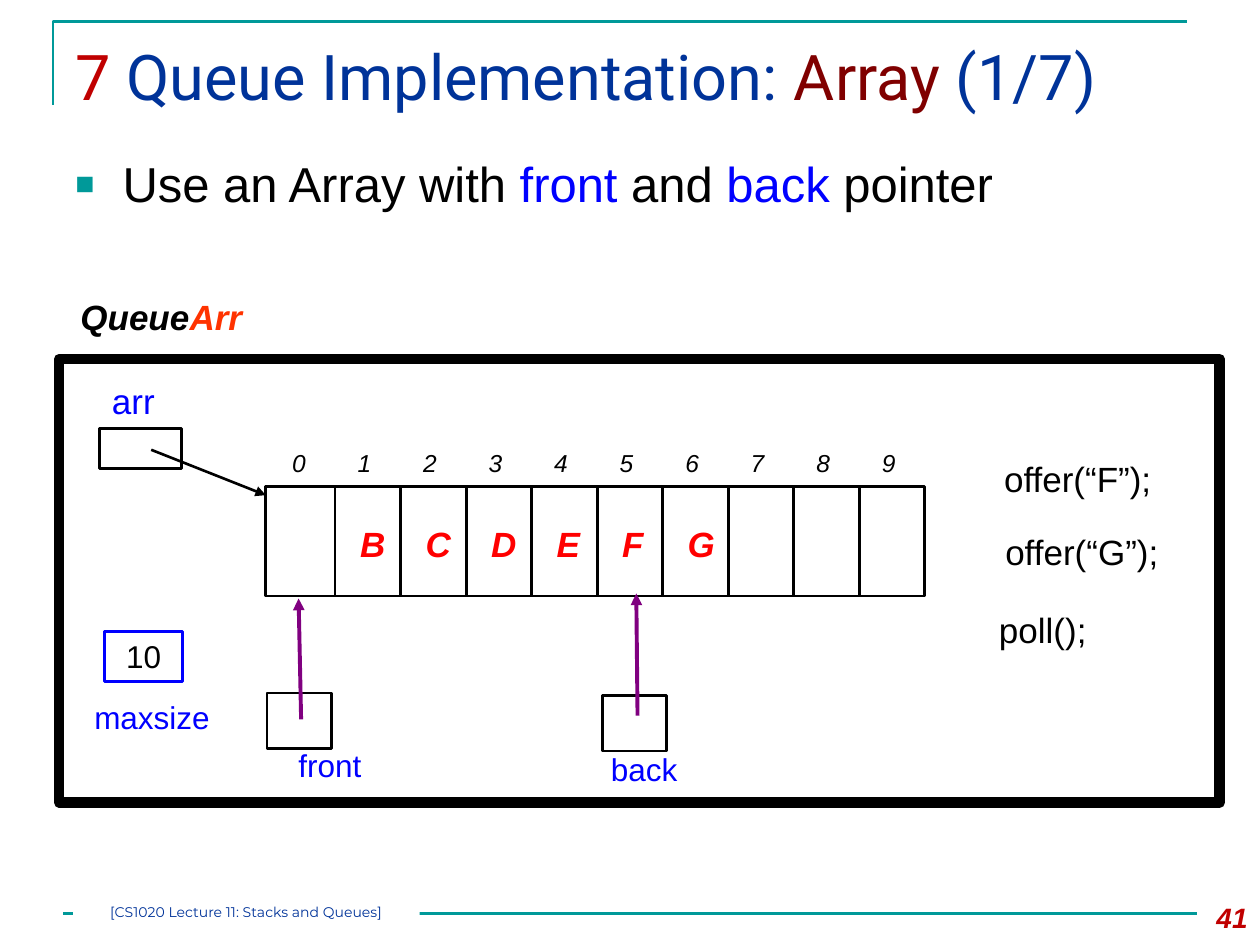
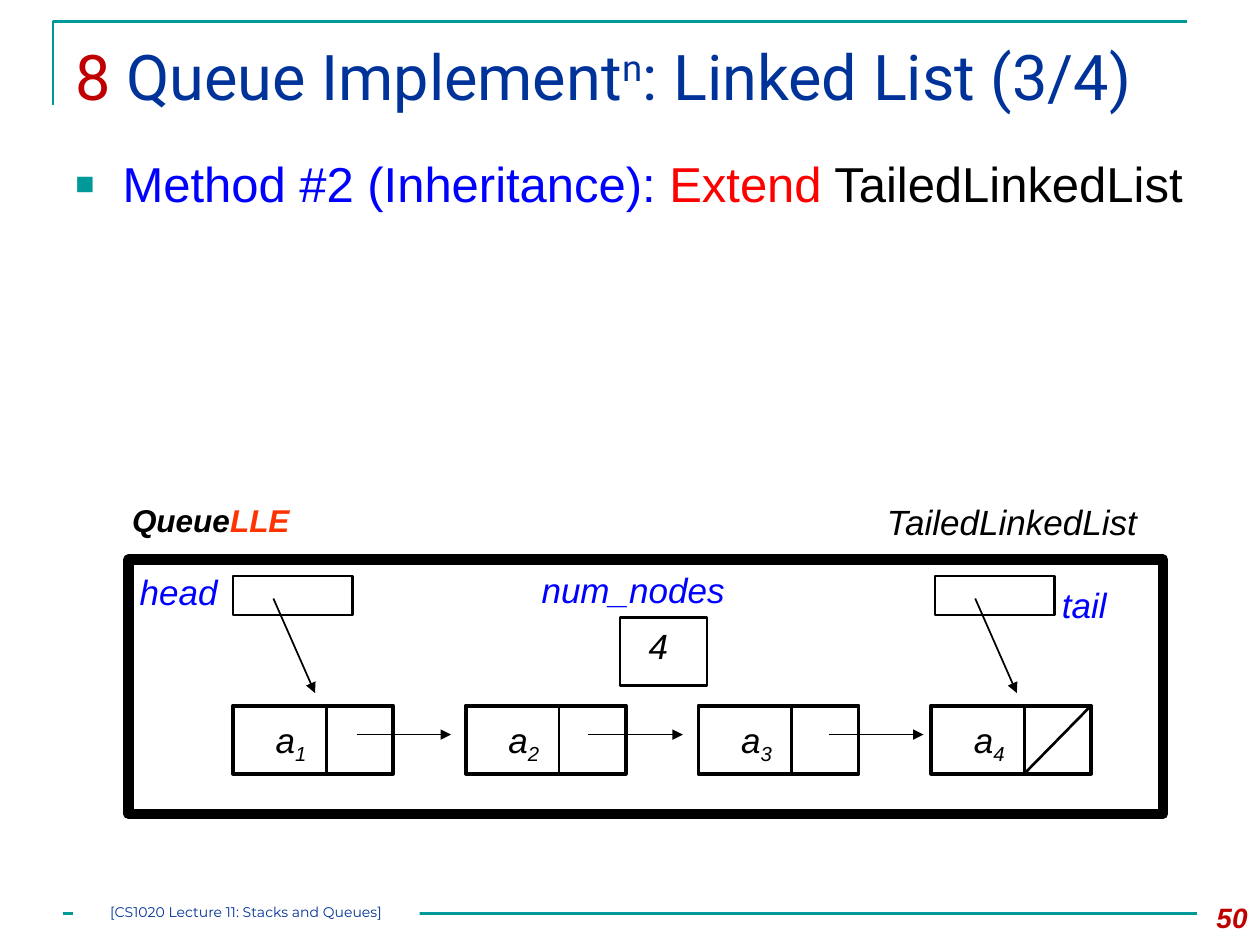
from lxml import etree
from pptx import Presentation
from pptx import util as u
from pptx.dml.color import RGBColor
from pptx.enum import shapes, text
from pptx.oxml import ns

TEAL = RGBColor(0x00, 0x99, 0x99)
NAVY = RGBColor(0x00, 0x33, 0x99)
CRIMSON = RGBColor(0xC0, 0x00, 0x00)
MAROON = RGBColor(0x80, 0x00, 0x00)
BLACK = RGBColor(0x00, 0x00, 0x00)
WHITE = RGBColor(0xFF, 0xFF, 0xFF)
BLUE = RGBColor(0x00, 0x00, 0xFF)
RED = RGBColor(0xFF, 0x00, 0x00)
ORANGE = RGBColor(0xFF, 0x33, 0x00)
PURPLE = RGBColor(0x80, 0x00, 0x80)

COLUMNS, ROWS = 100, 75
LEFT, CENTER, RIGHT = text.PP_ALIGN.LEFT, text.PP_ALIGN.CENTER, text.PP_ALIGN.RIGHT
FOOTER = "[CS1020 Lecture 11: Stacks and Queues]"


class LectureDeck:
    def __init__(self):
        self.deck = Presentation()
        self.deck.slide_width = u.Inches(10)
        self.deck.slide_height = u.Inches(7.5)
        self.page = None

    def x(self, columns):
        return round(self.deck.slide_width * columns / COLUMNS)

    def y(self, rows):
        return round(self.deck.slide_height * rows / ROWS)

    def area(self, at):
        left, top, width, height = at
        return self.x(left), self.y(top), self.x(width), self.y(height)

    def start_page(self, title, topic, number):
        self.page = self.deck.slides.add_slide(self.deck.slide_layouts[6])
        self.corner([(4.2, 8.3), (4.2, 1.7), (94.2, 1.7)])
        self.line((5, 72.5), (95, 72.5), TEAL)
        self.label(title, (5, 2.5, 90, 8.6), size=36, font="Roboto", wrap=True)
        self.bullet(topic, (5, 11.7, 91.7, 7.5))
        self.label([(number, CRIMSON)], (93.3, 71, 6.7, 4), size=16,
                   bold=True, italic=True, align=RIGHT, wrap=True)
        footer = self.rect((5.8, 71.7, 27.5, 1.7), fill=WHITE, line=None)
        self.fill_text(footer, [(FOOTER, NAVY)], size=8, font="Montserrat",
                       align=CENTER, wrap=True, inset=0)

    def corner(self, points):
        start, *rest = [(self.x(column), self.y(row)) for column, row in points]
        builder = self.page.shapes.build_freeform(*start)
        builder.add_line_segments(rest, close=False)
        outline = builder.convert_to_shape()
        outline.shadow.inherit = False
        outline.fill.background()
        outline.line.color.rgb = TEAL
        outline.line.width = u.Pt(1.5)

    def rect(self, at, fill=None, line=BLACK, weight=1.5):
        box = self.page.shapes.add_shape(shapes.MSO_SHAPE.RECTANGLE, *self.area(at))
        box.shadow.inherit = False
        if fill is None:
            box.fill.background()
        else:
            box.fill.solid()
            box.fill.fore_color.rgb = fill
        if line is None:
            box.line.fill.background()
        else:
            box.line.color.rgb = line
            box.line.width = u.Pt(weight)
        return box

    def line(self, start, end, color=BLACK, weight=1.5, arrow=False):
        link = self.page.shapes.add_connector(
            shapes.MSO_CONNECTOR.STRAIGHT,
            self.x(start[0]), self.y(start[1]), self.x(end[0]), self.y(end[1]))
        link.line.color.rgb = color
        link.line.width = u.Pt(weight)
        if arrow:
            outline = link._element.spPr.find(ns.qn("a:ln"))
            etree.SubElement(outline, ns.qn("a:tailEnd"), type="triangle")
        etree.SubElement(link._element.spPr, ns.qn("a:effectLst"))

    def fill_text(self, box, spans, size=20, font="Arial", bold=False, italic=False,
                  align=LEFT, anchor=text.MSO_ANCHOR.TOP, wrap=False, inset=None):
        frame = box.text_frame
        frame.word_wrap = wrap
        frame.auto_size = text.MSO_AUTO_SIZE.NONE
        frame.vertical_anchor = anchor
        if inset is not None:
            frame.margin_left = frame.margin_right = inset
            frame.margin_top = frame.margin_bottom = inset
        para = frame.paragraphs[0]
        para.alignment = align
        for words, color, *baseline in spans:
            span = para.add_run()
            span.text = words
            span.font.size = u.Pt(size)
            span.font.name = font
            span.font.bold = bold
            span.font.italic = italic
            span.font.color.rgb = color
            if baseline:
                span._r.get_or_add_rPr().set("baseline", str(baseline[0] * 1000))
        return para

    def label(self, spans, at, **style):
        box = self.page.shapes.add_textbox(*self.area(at))
        return self.fill_text(box, spans, **style)

    def bullet(self, spans, at):
        para = self.label(spans, at, size=28, wrap=True)
        props = para._p.get_or_add_pPr()
        props.set("marL", str(self.x(3.75)))
        props.set("indent", str(-self.x(3.75)))
        tint = etree.SubElement(props, ns.qn("a:buClr"))
        etree.SubElement(tint, ns.qn("a:srgbClr"), val=str(TEAL))
        etree.SubElement(props, ns.qn("a:buSzPct"), val="65000")
        etree.SubElement(props, ns.qn("a:buFont"), typeface="Arial")
        etree.SubElement(props, ns.qn("a:buChar"), char="■")

    def pointer(self, name, box_at, name_at, start, end):
        self.rect(box_at, fill=WHITE)
        self.line(start, end, PURPLE, 2.25, arrow=True)
        self.label([(name, BLUE)], name_at, size=18)

    def node(self, left, index):
        self.rect((left, 56, 12.7, 5.4), weight=2.25)
        self.line((left + 7.4, 55.9), (left + 7.4, 61.3))
        self.label([("a", BLACK), (str(index), BLACK, -25)],
                   (left + 2.4, 56.5, 4.6, 4.3), italic=True)

    def reference(self, left, name, name_at):
        self.rect((left, 45.7, 9.5, 3.1))
        self.label([(name, BLUE)], name_at, italic=True)
        self.line((left + 3.2, 47.5), (left + 6.5, 55), weight=1, arrow=True)


def array_page(lecture):
    lecture.start_page(
        [("7 ", CRIMSON), ("Queue Implementation: ", NAVY), ("Array ", MAROON), ("(1/7)", NAVY)],
        [("Use an Array with ", BLACK), ("front", BLUE), (" and ", BLACK),
         ("back", BLUE), (" pointer", BLACK)],
        "41")
    lecture.rect((4.7, 28.5, 92.1, 35.2), weight=6)
    lecture.label([("Queue", BLACK), ("Arr", ORANGE)], (5.4, 23, 15, 4.4), bold=True, italic=True)

    pitch = 5.2
    lecture.rect((21.1, 38.6, 52.3, 8.7))
    for index in range(10):
        offset = index * pitch
        lecture.label([(str(index), BLACK)], (22.2 + offset, 35.1, 3.1, 3.3), size=14, italic=True)
        if index:
            lecture.line((21.4 + offset, 38.6), (21.4 + offset, 47.2))
    for index, item in enumerate("BCDEFG"):
        lecture.label([(item, RED)], (27.6 + index * pitch, 41, 4, 4.3), bold=True, italic=True)

    lecture.label([("arr", BLUE)], (7.9, 29.6, 5.4, 4.3))
    lecture.rect((7.9, 34, 6.5, 3.2))
    lecture.line((12, 35.7), (21.1, 39.3), arrow=True)

    calls = [("offer(“F”);", 78.7, 35.8), ("offer(“G”);", 78.8, 41.6), ("poll();", 78.3, 47.8)]
    for call, left, top in calls:
        lecture.label([(call, BLACK)], (left, top, 14.2, 4.4))

    lecture.pointer("front", (21.2, 55, 5.1, 4.4), (22.7, 58.7, 7.1, 4), (23.9, 57.1), (23.7, 47.5))
    lecture.pointer("back", (47.8, 55.2, 5.1, 4.4), (47.5, 59, 7.3, 4), (50.6, 56.8), (50.5, 47.1))

    lecture.label([("maxsize", BLUE)], (6.5, 54.9, 11.3, 4), size=18)
    maxsize = lecture.rect((8.3, 50.1, 6.2, 4), line=BLUE)
    lecture.fill_text(maxsize, [("10", BLACK)], size=18, align=CENTER,
                      anchor=text.MSO_ANCHOR.MIDDLE)


def linked_list_page(lecture):
    lecture.start_page(
        [("8 ", CRIMSON), ("Queue Implement", NAVY), ("n", NAVY, 30), (": Linked List (3/4)", NAVY)],
        [("Method #2 (Inheritance): ", BLUE), ("Extend", RED), (" TailedLinkedList", BLACK)],
        "50")
    lecture.rect((10.2, 44.4, 82.1, 20.2), weight=6)
    lecture.label([("Queue", BLACK), ("LLE", ORANGE)], (9.5, 39.3, 14.6, 4),
                  size=18, bold=True, italic=True)
    lecture.label([("TailedLinkedList", BLACK)], (69.4, 39.2, 22.1, 4.4), italic=True)

    lecture.label([("num_nodes", BLUE)], (42, 44.6, 18, 4.4), italic=True)
    lecture.rect((49.2, 49, 6.9, 5.4), fill=WHITE)
    lecture.label([("4", BLACK)], (50.5, 49.1, 3.9, 4.4), italic=True)

    for index in range(4):
        lecture.node(18.5 + index * 18.47, index + 1)
    lecture.line((86.5, 56.1), (81.3, 61.4))
    for left in (28.3, 46.7, 65.8):
        lecture.line((left, 58.3), (left + 7.5, 58.3), weight=1, arrow=True)

    lecture.reference(18.5, "head", (10.1, 44.8, 8.2, 4.3))
    lecture.reference(74.2, "tail", (83.3, 45.8, 5.6, 4.4))


def main():
    lecture = LectureDeck()
    array_page(lecture)
    linked_list_page(lecture)
    lecture.deck.save("out.pptx")


if __name__ == "__main__":
    main()
